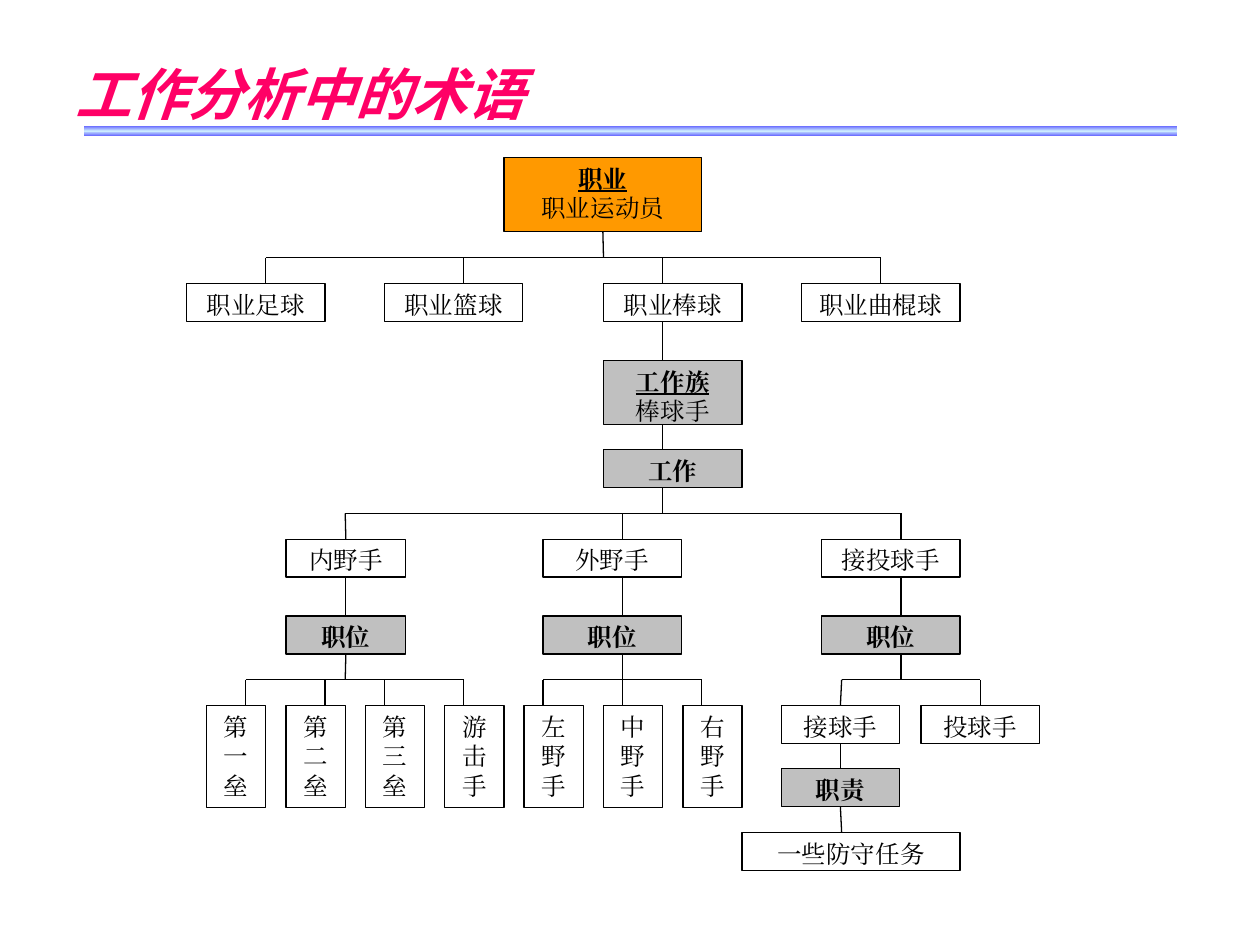
import copy
from dataclasses import dataclass

import pptx
import pptx.dml.color
import pptx.enum.shapes
import pptx.enum.text
import pptx.oxml
import pptx.oxml.ns
import pptx.util

Inches = pptx.util.Inches
ALIGN = pptx.enum.text.PP_ALIGN
ANCHOR = pptx.enum.text.MSO_ANCHOR
qn = pptx.oxml.ns.qn


@dataclass(frozen=True)
class Theme:
    ink: str = "000000"
    title: str = "FF0066"
    root: str = "FF9900"
    level: str = "C0C0C0"
    plain: str = "FFFFFF"
    bar: tuple = ("6666FF", "CCECFF", "6666FF")
    title_font: str = "Noto Sans CJK SC"
    body_font: str = "Times New Roman"
    title_size: int = 32
    body_size: int = 14
    line: float = 0.75


@dataclass(frozen=True)
class Box:
    left: float
    top: float
    width: float
    height: float

    @property
    def lengths(self):
        return [Inches(v) for v in (self.left, self.top, self.width, self.height)]


THEME = Theme()
ROW = 0.3


def rgb(value):
    return pptx.dml.color.RGBColor.from_string(value)


def write(paragraph, text, font=THEME.body_font, size=THEME.body_size,
          color=THEME.ink, align=ALIGN.CENTER, bold=False, italic=False,
          underline=False):
    paragraph.alignment = align
    run = paragraph.add_run()
    run.text = text
    run.font.name = font
    run.font.size = pptx.util.Pt(size)
    run.font.color.rgb = rgb(color)
    run.font.bold, run.font.italic, run.font.underline = bold, italic, underline
    east_asian = pptx.oxml.parse_xml(
        '<a:ea xmlns:a="http://schemas.openxmlformats.org/drawingml/2006/main" '
        f'typeface="{font}"/>')
    run.font._element.find(qn("a:latin")).addnext(east_asian)


def add_rectangle(slide, box):
    shape = slide.shapes.add_shape(
        pptx.enum.shapes.MSO_SHAPE.RECTANGLE, *box.lengths)
    shape.shadow.inherit = False
    return shape


def add_node(slide, box, text, fill=THEME.plain, heading=None):
    """Add a chart box; a grey level box without a heading has bold text."""
    shape = add_rectangle(slide, box)
    shape.fill.solid()
    shape.fill.fore_color.rgb = rgb(fill)
    shape.line.color.rgb = rgb(THEME.ink)
    shape.line.width = pptx.util.Pt(THEME.line)
    frame = shape.text_frame
    frame.word_wrap = True
    frame.vertical_anchor = ANCHOR.TOP
    paragraph = frame.paragraphs[0]
    if heading:
        write(paragraph, heading, bold=True, underline=True)
        paragraph = frame.add_paragraph()
    write(paragraph, text, bold=fill == THEME.level and not heading)
    return shape


def add_line(slide, start, end):
    line = slide.shapes.add_connector(
        pptx.enum.shapes.MSO_CONNECTOR.STRAIGHT, *start, *end)
    line.line.color.rgb = rgb(THEME.ink)
    line.line.width = pptx.util.Pt(THEME.line)
    line._element.spPr.append(pptx.oxml.parse_xml(
        '<a:effectLst xmlns:a="http://schemas.openxmlformats.org/drawingml/2006/main"/>'))
    return line


def at_middle(shape, x):
    return abs(shape.left + shape.width / 2 - x) < Inches(0.02)


def add_drop(slide, x, upper=None, lower=None, y=None):
    """Draw a vertical line between two boxes, or between a box and height y."""
    top = upper.top + upper.height if upper else y
    bottom = lower.top if lower else y
    line = add_line(slide, (x, top), (x, bottom))
    if upper and at_middle(upper, x):
        line.begin_connect(upper, 2)
    if lower and at_middle(lower, x):
        line.end_connect(lower, 0)


def add_branch(slide, parent, stem, children, drops):
    """Join a parent to its children through a bar halfway between them."""
    bar = (parent.top + parent.height + children[0].top) // 2
    xs = [Inches(drop) for drop in drops]
    add_line(slide, (xs[0], bar), (xs[-1], bar))
    add_drop(slide, Inches(stem), upper=parent, y=bar)
    for child, x in zip(children, xs):
        add_drop(slide, x, lower=child, y=bar)


def add_title(slide, box):
    title = slide.shapes.title
    title.left, title.top, title.width, title.height = box.lengths
    frame = title.text_frame
    frame.auto_size = pptx.enum.text.MSO_AUTO_SIZE.NONE
    frame.vertical_anchor = ANCHOR.MIDDLE
    frame.margin_top = frame.margin_bottom = 0
    write(frame.paragraphs[0], "工作分析中的术语", font=THEME.title_font,
          size=THEME.title_size, color=THEME.title, align=ALIGN.LEFT,
          bold=True, italic=True)


def add_title_bar(slide, box):
    bar = add_rectangle(slide, box)
    bar.line.fill.background()
    bar.fill.gradient()
    bar.fill.gradient_angle = 90
    first = bar._element.spPr.find(".//" + qn("a:gs"))
    first.addnext(copy.deepcopy(first))
    for index, stop in enumerate(bar.fill.gradient_stops):
        stop.position = index / 2
        stop.color.rgb = rgb(THEME.bar[index])


def add_occupations(slide, box):
    """Add the occupation and its four sports; return the baseball box."""
    root = add_node(slide, Box(box.left + 2.52, box.top, 1.57, 0.59),
                    "职业运动员", THEME.root, heading="职业")
    sports = [("职业足球", 0, 1.1), ("职业篮球", 1.57, 1.1),
              ("职业棒球", 3.31, 1.1), ("职业曲棍球", 4.88, 1.26)]
    nodes = [add_node(slide, Box(box.left + x, box.top + 1, width, ROW), name)
             for name, x, width in sports]
    drops = [box.left + x for x in (0.63, 2.2, 3.78, 5.51)]
    add_branch(slide, root, box.left + 3.31, nodes, drops)
    return nodes[2]


def add_job_levels(slide, box, sport):
    """Add the job family and the job below a sport; return the job box."""
    family = add_node(slide, Box(box.left, box.top, box.width, 0.51),
                      "棒球手", THEME.level, heading="工作族")
    job = add_node(slide, Box(box.left, box.top + 0.71, box.width, ROW),
                   "工作", THEME.level)
    x = Inches(box.left + 0.47)
    add_drop(slide, x, sport, family)
    add_drop(slide, x, family, job)
    return job


def add_job(slide, box, name, stem):
    """Add a job above its position box; return both."""
    job = add_node(slide, Box(box.left, box.top, box.width, ROW), name)
    position = add_node(
        slide, Box(box.left, box.top + box.height - ROW, box.width, ROW),
        "职位", THEME.level)
    add_drop(slide, Inches(stem), job, position)
    return job, position


def add_positions(slide, box, names, parent, stem, drops):
    """Add equal boxes 0.16 or so apart across the width and join them."""
    width = 0.47 if box.height > ROW else 0.94
    step = (box.width - width) / (len(names) - 1)
    nodes = [add_node(slide, Box(box.left + i * step, box.top, width, box.height), name)
             for i, name in enumerate(names)]
    add_branch(slide, parent, stem, nodes, drops)
    return nodes


def add_duties(slide, box, position):
    duty = add_node(slide, Box(box.left + 0.31, box.top, 0.94, ROW),
                    "职责", THEME.level)
    tasks = add_node(slide, Box(box.left, box.top + box.height - ROW, box.width, ROW),
                     "一些防守任务")
    x = Inches(box.left + 0.79)
    add_drop(slide, x, position, duty)
    add_drop(slide, x, duty, tasks)


def main():
    presentation = pptx.Presentation()
    presentation.slide_width, presentation.slide_height = Inches(10), Inches(7.5)
    slide = presentation.slides.add_slide(presentation.slide_layouts[5])
    add_title_bar(slide, Box(0.67, 1, 8.67, 0.08))
    add_title(slide, Box(0.5, 0.42, 4.17, 0.64))
    baseball = add_occupations(slide, Box(1.48, 1.25, 6.14, 1.3))
    job = add_job_levels(slide, Box(4.79, 2.86, 1.1, 1.01), baseball)

    groups = [
        ("内野手", 2.27, 0.95, 2.74, Box(1.64, 5.6, 2.36, 0.81),
         ["第一垒", "第二垒", "第三垒", "游击手"], [1.95, 2.58, 3.05, 3.68]),
        ("外野手", 4.31, 1.1, 4.94, Box(4.16, 5.6, 1.73, 0.81),
         ["左野手", "中野手", "右野手"], [4.31, 4.94, 5.57]),
        ("接投球手", 6.52, 1.1, 7.15, Box(6.2, 5.6, 2.05, ROW),
         ["接球手", "投球手"], [6.68, 7.78]),
    ]
    jobs = []
    for name, left, width, stem, box, names, drops in groups:
        node, position = add_job(slide, Box(left, 4.28, width, 0.91), name, stem)
        jobs.append(node)
        leaves = add_positions(slide, box, names, position, stem, drops)
    add_branch(slide, job, 5.26, jobs, [group[3] for group in groups])
    add_duties(slide, Box(5.89, 6.1, 1.73, 0.81), leaves[0])
    presentation.save("out.pptx")


if __name__ == "__main__":
    main()
